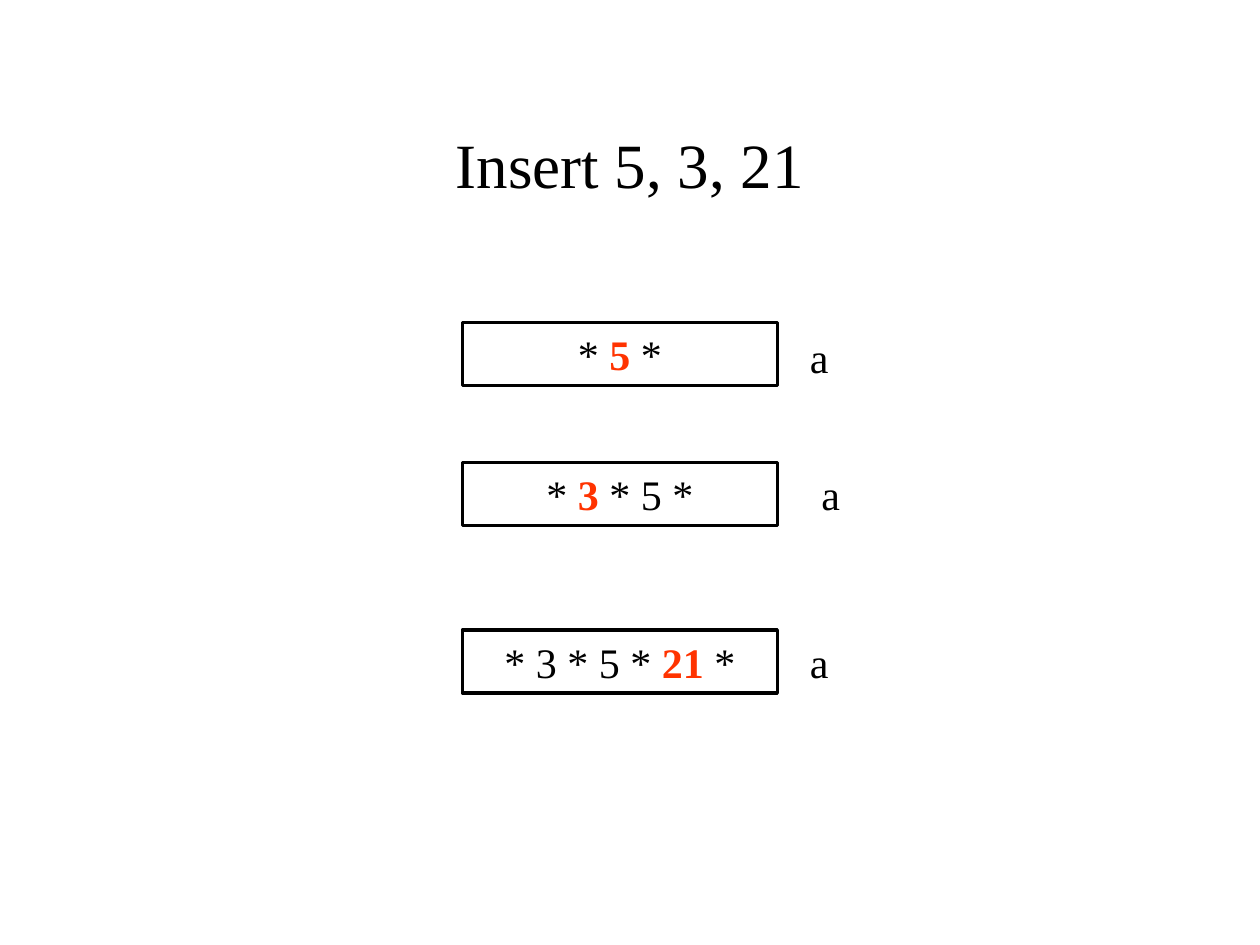
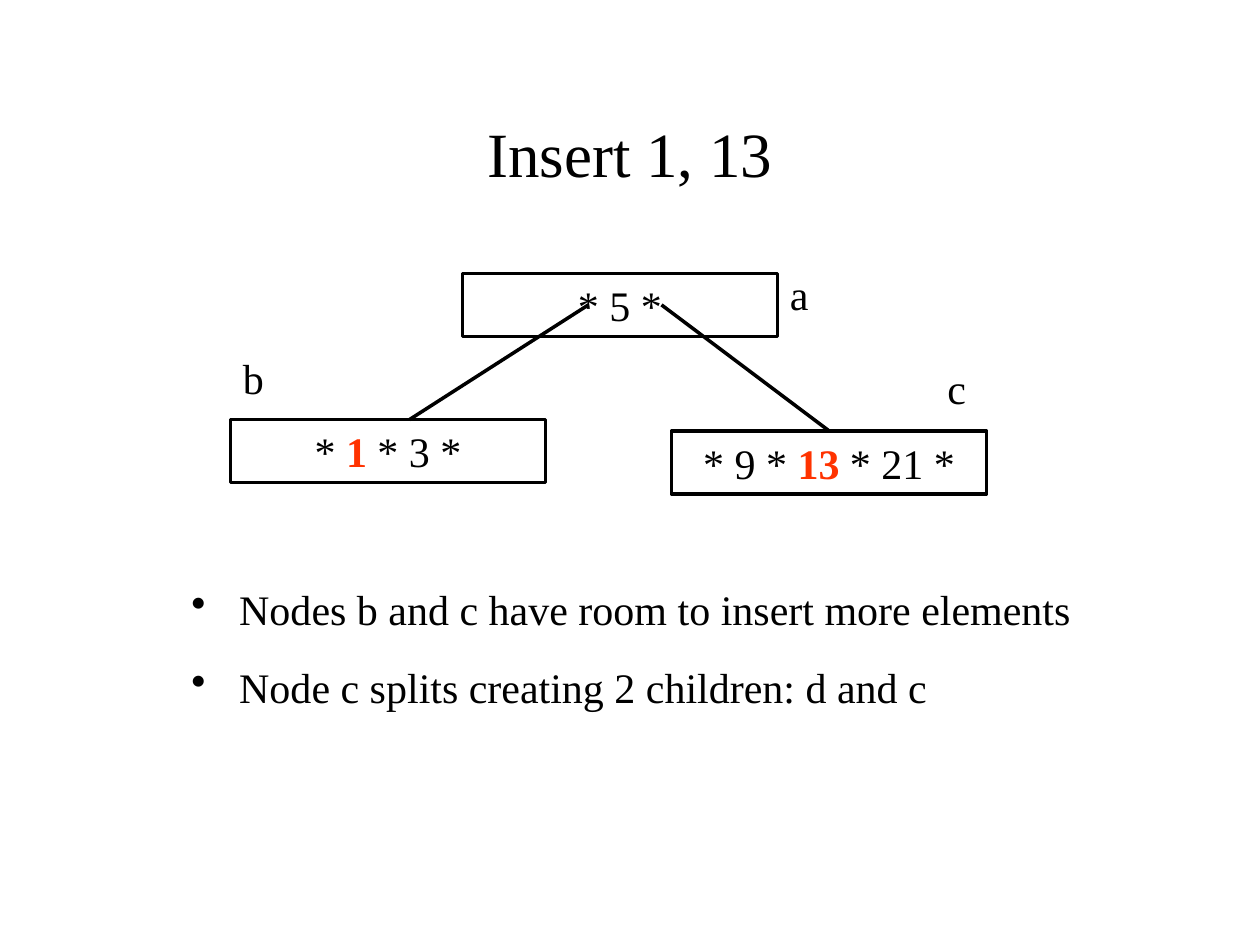
from lxml.etree import SubElement
from pptx import Presentation
from pptx.dml.color import RGBColor
from pptx.enum.shapes import MSO_CONNECTOR as Connector, MSO_SHAPE as Shape
from pptx.enum.text import MSO_ANCHOR as Anchor, PP_ALIGN as Align
from pptx.oxml.ns import qn
from pptx.util import Inches, Pt

COLORS = {"ink": "000000", "new_key": "FF3300"}
BODY = {"name": "Times New Roman", "size": Pt(24)}
TITLE = {**BODY, "size": Pt(36)}
NODE_WIDTH, NODE_HEIGHT = 2.5, 0.5
LABEL_SIZE = 0.5
INDENT = 0.38


def color(name):
    """Return the named colour."""
    return RGBColor.from_string(COLORS[name])


def write(paragraph, text, style=BODY, align=Align.LEFT):
    """Fill a paragraph; parts between bars are newly inserted keys."""
    paragraph.alignment = align
    for index, part in enumerate(text.split("|")):
        is_new = index % 2 == 1
        run = paragraph.add_run()
        run.text = part
        for name, value in {**style, "bold": is_new}.items():
            setattr(run.font, name, value)
        run.font.color.rgb = color("new_key" if is_new else "ink")


def add_text_frame(slide, left, top, width, height, anchor=Anchor.TOP):
    """Add a wrapping text box and return its frame."""
    box = slide.shapes.add_textbox(*map(Inches, (left, top, width, height)))
    frame = box.text_frame
    frame.word_wrap = True
    frame.vertical_anchor = anchor
    return frame


def add_title(slide, text, height):
    """Add the centred slide title."""
    frame = add_text_frame(slide, 0.75, 0.67, 8.5, height, Anchor.MIDDLE)
    write(frame.paragraphs[0], text, TITLE, Align.CENTER)


def add_node(slide, left, top, keys, label, label_offset):
    """Add a tree node with its label placed relative to its corner."""
    node = slide.shapes.add_shape(
        Shape.RECTANGLE, *map(Inches, (left, top, NODE_WIDTH, NODE_HEIGHT)))
    node.shadow.inherit = False
    node.fill.background()
    node.line.color.rgb = color("ink")
    node.line.width = Pt(2)
    node.text_frame.word_wrap = True
    node.text_frame.vertical_anchor = Anchor.TOP
    write(node.text_frame.paragraphs[0], keys, align=Align.CENTER)
    across, down = label_offset
    frame = add_text_frame(slide, left + across, top + down, LABEL_SIZE, LABEL_SIZE)
    write(frame.paragraphs[0], label)
    return node


def add_branch(slide, start, end):
    """Add a straight line from a parent key to a child."""
    branch = slide.shapes.add_connector(
        Connector.STRAIGHT, *map(Inches, (*start, *end)))
    branch.line.color.rgb = color("ink")
    branch.line.width = Pt(2)
    SubElement(branch._element.spPr, qn("a:effectLst"))
    return branch


def add_tree(slide, left, top):
    """Add the root node a with its children b and c."""
    root_left, right_left = left + 1.84, left + 3.5
    left_top, right_top = top + 1.16, top + 1.25
    key_line = top + NODE_HEIGHT / 2
    add_node(slide, root_left, top, "* 5 *", "a", (NODE_WIDTH, -0.09))
    add_node(slide, left, left_top, "* |1| * 3 *", "b", (0, -0.58))
    right = add_node(slide, right_left, right_top, "* 9 * |13| * 21 *", "c", (2.09, -0.59))
    add_branch(slide, (root_left + 1, key_line), (left + 1.42, left_top))
    branch = add_branch(slide, (root_left + 1.58, key_line),
                        (right_left + NODE_WIDTH / 2, right_top))
    branch.end_connect(right, 0)


def add_bullets(slide, left, top, width, height, lines):
    """Add a bulleted list."""
    frame = add_text_frame(slide, left, top, width, height)
    for index, line in enumerate(lines):
        paragraph = frame.add_paragraph() if index else frame.paragraphs[0]
        properties = paragraph._p.get_or_add_pPr()
        properties.set("marL", str(Inches(INDENT)))
        properties.set("indent", str(-Inches(INDENT)))
        SubElement(properties, qn("a:buChar"), char="•")
        if index:
            paragraph.space_before = Pt(16)
        write(paragraph, line)


def build_single_node_slide(slide):
    """Show node a after each of the first three insertions."""
    add_title(slide, "Insert 5, 3, 21", 1.25)
    steps = [(2.56, "* |5| *", (2.66, 0.02)),
             (3.67, "* |3| * 5 *", (2.75, 0)),
             (5, "* 3 * 5 * |21| *", (2.66, 0))]
    for top, keys, label_offset in steps:
        add_node(slide, 3.67, top, keys, "a", label_offset)


def build_tree_slide(slide):
    """Show the split tree and its notes."""
    add_title(slide, "Insert 1, 13", 1.08)
    add_tree(slide, 1.83, 2.17)
    add_bullets(slide, 1.42, 4.58, 7.5, 1.11,
                ["Nodes b and c have room to insert more elements",
                 "Node c splits creating 2 children: d and c"])


def main():
    """Build and save the presentation."""
    presentation = Presentation()
    presentation.slide_width = Inches(10)
    presentation.slide_height = Inches(7.5)
    for build in (build_single_node_slide, build_tree_slide):
        build(presentation.slides.add_slide(presentation.slide_layouts[6]))
    presentation.save("out.pptx")


if __name__ == "__main__":
    main()
